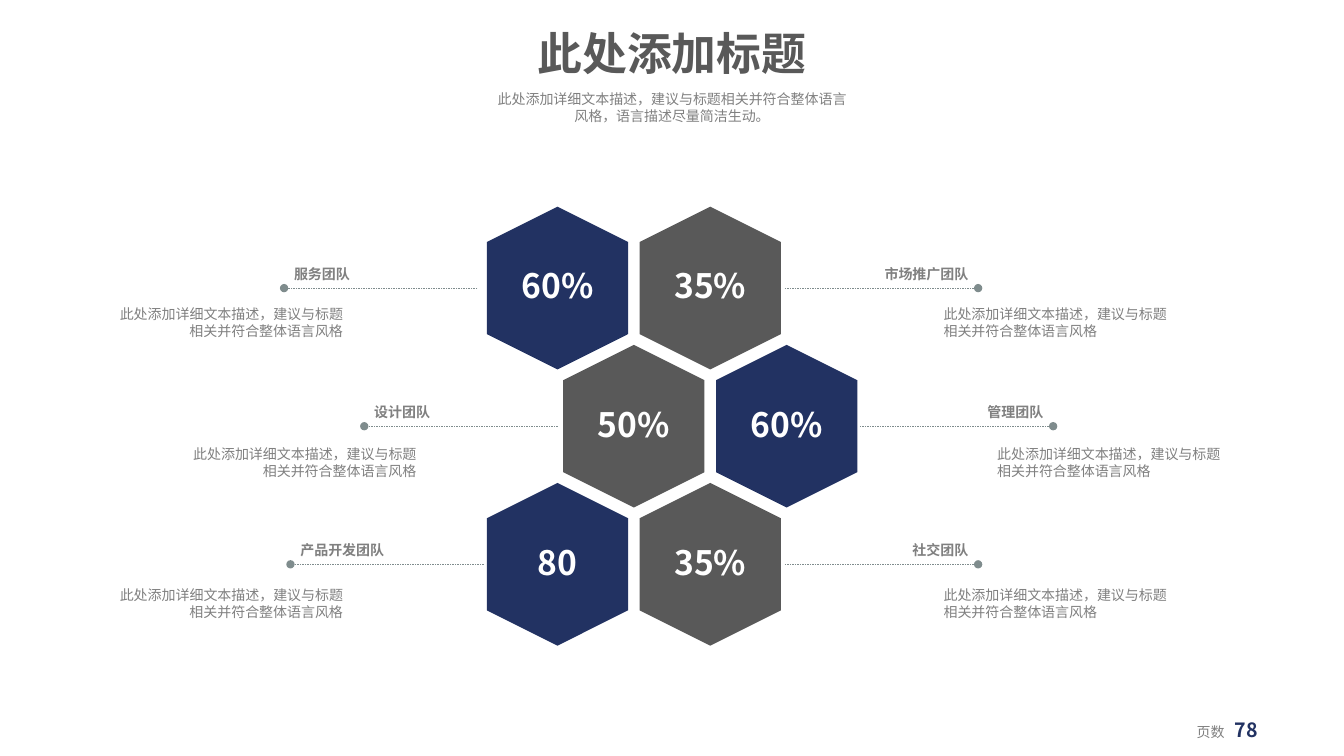
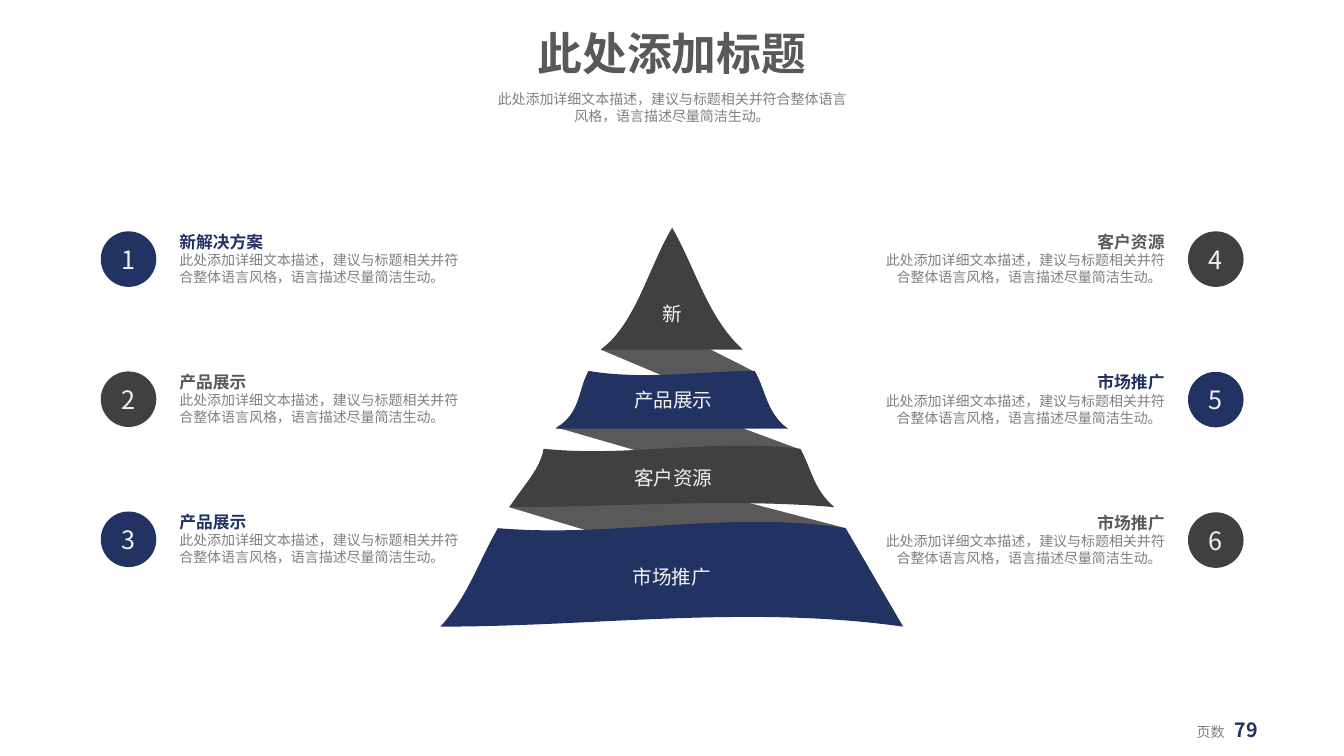
from dataclasses import dataclass

from lxml import etree
from pptx import Presentation
from pptx import util as u
from pptx.dml.color import RGBColor
from pptx.enum import dml, shapes, text
from pptx.oxml import ns

FONT = "Noto Sans CJK SC"
NAVY = RGBColor(0x22, 0x32, 0x62)
SLATE = RGBColor(0x59, 0x59, 0x59)
CHARCOAL = RGBColor(0x40, 0x40, 0x40)
GREY = RGBColor(0x80, 0x80, 0x80)
LINE = RGBColor(0x7F, 0x8C, 0x8D)
PALE = RGBColor(0xF2, 0xF2, 0xF2)
WHITE = RGBColor(0xFF, 0xFF, 0xFF)

LEFT, CENTER, RIGHT = text.PP_ALIGN.LEFT, text.PP_ALIGN.CENTER, text.PP_ALIGN.RIGHT
WIDTH, HEIGHT = 33.87, 19.05
MIDDLE = WIDTH / 2

TITLE = "此处添加标题"
NOTE = "此处添加详细文本描述，建议与标题相关并符合整体语言风格"
LONG_NOTE = NOTE + "，语言描述尽量简洁生动。"

Outline = list[tuple[float, ...]]  # start, then lines (2 numbers) or curves (6)


@dataclass
class Hexagon:
    label: str
    row: int
    col: int
    color: RGBColor


@dataclass
class Team:
    name: str
    row: int
    on_left: bool
    inner: float  # end of the leader next to the hexagon
    note_left: float


@dataclass
class Callout:
    number: int
    heading: str
    color: RGBColor
    heading_color: RGBColor


@dataclass
class Piece:
    color: RGBColor
    outline: Outline


@dataclass
class BandLabel:
    name: str
    center: float
    top: float


HEXAGONS = [
    Hexagon("35%", 0, 1, SLATE), Hexagon("60%", 0, 0, NAVY),
    Hexagon("50%", 1, 0, SLATE), Hexagon("60%", 1, 1, NAVY),
    Hexagon("35%", 2, 1, SLATE), Hexagon("80", 2, 0, NAVY),
]
TEAMS = [
    Team("市场推广团队", 0, False, 19.78, 23.53),
    Team("管理团队", 1, False, 21.67, 24.88),
    Team("社交团队", 2, False, 19.78, 23.53),
    Team("服务团队", 0, True, 12.03, 2.44),
    Team("设计团队", 1, True, 14.05, 4.29),
    Team("产品开发团队", 2, True, 12.19, 2.44),
]
CALLOUTS = [
    Callout(1, "新解决方案", NAVY, NAVY),
    Callout(2, "产品展示", CHARCOAL, SLATE),
    Callout(3, "产品展示", NAVY, NAVY),
    Callout(4, "客户资源", CHARCOAL, SLATE),
    Callout(5, "市场推广", NAVY, NAVY),
    Callout(6, "市场推广", CHARCOAL, SLATE),
]
# Each fold lies behind the band that follows it
PYRAMID = [
    Piece(SLATE, [(19.79, 10.77), (15.14, 8.81),
                  (15.54, 8.53, 15.77, 8.26, 15.95, 7.82), (19.02, 9.37),
                  (19.3, 9.83, 19.28, 10.34, 19.79, 10.77)]),
    Piece(CHARCOAL, [(16.94, 5.74), (17.53, 6.76, 17.83, 8, 18.72, 8.81),
                     (15.14, 8.81), (16.03, 8.15, 16.33, 6.76, 16.94, 5.74)]),
    Piece(SLATE, [(20.98, 12.78), (14.02, 10.77),
                  (14.66, 10.44, 14.58, 9.83, 14.83, 9.35), (20.17, 11.33),
                  (20.45, 11.81, 20.5, 12.42, 20.98, 12.78)]),
    Piece(NAVY, [(14.84, 9.35), (16.26, 9.58, 17.63, 9.35, 19.02, 9.35),
                 (19.3, 9.83, 19.33, 10.44, 19.86, 10.8), (14, 10.8),
                 (14.66, 10.39, 14.55, 9.83, 14.84, 9.35)]),
    Piece(SLATE, [(22.73, 15.75), (12.83, 12.78),
                  (13.18, 12.29, 13.67, 11.94, 13.74, 11.33), (21.31, 13.31),
                  (22.73, 15.75)]),
    Piece(CHARCOAL, [(13.7, 11.31), (15.82, 11.53, 17.88, 11.05, 20.17, 11.31),
                     (20.45, 11.81, 20.5, 12.34, 21.03, 12.78),
                     (18.31, 12.55, 15.57, 12.78, 12.85, 12.78),
                     (13.13, 12.29, 13.61, 11.86, 13.7, 11.31)]),
    Piece(NAVY, [(12.55, 13.31), (15.47, 13.56, 18.34, 12.85, 21.31, 13.31),
                 (22.76, 15.79), (18.82, 15.24, 14.99, 15.79, 11.1, 15.79),
                 (11.81, 15.01, 12.07, 14.12, 12.55, 13.31)]),
]
BAND_LABELS = [
    BandLabel("市场推广", 16.93, 14.12), BandLabel("客户资源", 16.97, 11.61),
    BandLabel("产品展示", 16.97, 9.64), BandLabel("新", 16.94, 7.49),
]


# Text and shape helpers
def write(p, content: str, *, size: float, color: RGBColor,
          bold: bool = False, align=LEFT) -> None:
    p.alignment = align
    r = p.add_run()
    r.text = content
    r.font.size, r.font.bold, r.font.name = u.Pt(size), bold, FONT
    r.font.color.rgb = color
    etree.SubElement(r.font._element, ns.qn("a:ea"), typeface=FONT)


def text_box(s, left: float, top: float, width: float, height: float, wrap: bool = True):
    tf = s.shapes.add_textbox(u.Cm(left), u.Cm(top), u.Cm(width), u.Cm(height)).text_frame
    tf.word_wrap = wrap
    return tf


def snug_width(content: str, size: float) -> float:
    """Width of a one-line box of full-width characters, with its insets."""
    return len(content) * u.Pt(size).cm + 0.52


def paint(sp, color: RGBColor) -> None:
    sp.shadow.inherit = False
    sp.fill.solid()
    sp.fill.fore_color.rgb = color
    sp.line.fill.background()


def label(sp, content: str, **style):
    tf = sp.text_frame
    tf.word_wrap = False
    tf.vertical_anchor = text.MSO_ANCHOR.MIDDLE
    p = tf.paragraphs[0]
    write(p, content, align=CENTER, **style)
    return p


def sample(outline: Outline, steps: int = 40) -> Outline:
    points = [outline[0]]
    for segment in outline[1:]:
        if len(segment) == 6:
            (x0, y0), (x1, y1, x2, y2, x3, y3) = points[-1], segment
            for i in range(1, steps):
                t = i / steps
                a, b, c, d = (1 - t) ** 3, 3 * t * (1 - t) ** 2, 3 * t * t * (1 - t), t ** 3
                points.append((a * x0 + b * x1 + c * x2 + d * x3,
                               a * y0 + b * y1 + c * y2 + d * y3))
        points.append(segment[-2:])
    return points


def freeform(s, outline: Outline, color: RGBColor):
    # The builder sets the bounds; the path is then redrawn with true curves
    xs, ys = zip(*sample(outline))
    builder = s.shapes.build_freeform(u.Cm(min(xs)), u.Cm(min(ys)))
    builder.add_line_segments([(u.Cm(max(xs)), u.Cm(max(ys)))], close=True)
    sp = builder.convert_to_shape()
    geometry = next(sp.element.iter(ns.qn("a:path")))
    for child in list(geometry):
        geometry.remove(child)
    for i, segment in enumerate(outline):
        tag = "a:moveTo" if i == 0 else "a:lnTo" if len(segment) == 2 else "a:cubicBezTo"
        step = etree.SubElement(geometry, ns.qn(tag))
        for x, y in zip(segment[::2], segment[1::2]):
            etree.SubElement(step, ns.qn("a:pt"), x=str(u.Cm(x) - sp.left),
                             y=str(u.Cm(y) - sp.top))
    etree.SubElement(geometry, ns.qn("a:close"))
    paint(sp, color)
    return sp


def leader(s, start: float, end: float, y: float) -> None:
    c = s.shapes.add_connector(shapes.MSO_CONNECTOR.STRAIGHT,
                               u.Cm(start), u.Cm(y), u.Cm(end), u.Cm(y))
    c.line.color.rgb = LINE
    c.line.width = u.Pt(0.25)
    c.line.dash_style = dml.MSO_LINE.DASH
    props = c.element.spPr
    etree.SubElement(props.find(ns.qn("a:ln")), ns.qn("a:tailEnd"), type="oval")
    etree.SubElement(props, ns.qn("a:effectLst"))


# Title, subtitle and page number
def new_slide(prs, page: int):
    s = prs.slides.add_slide(prs.slide_layouts[6])
    width = snug_width(TITLE, 32)
    tf = text_box(s, MIDDLE - width / 2, 0.53, width, 1.62, wrap=False)
    write(tf.paragraphs[0], TITLE, size=32, color=SLATE, bold=True, align=CENTER)
    tf = text_box(s, MIDDLE - 4.75, 2.16, 9.5, 1.12)
    write(tf.paragraphs[0], LONG_NOTE, size=10, color=GREY, align=CENTER)
    p = text_box(s, 29.03, 17.97, 3.23, 0.86).paragraphs[0]
    tabs = etree.SubElement(p._p.get_or_add_pPr(), ns.qn("a:tabLst"))
    for stop in (0.88, 1.83):
        etree.SubElement(tabs, ns.qn("a:tab"), pos=str(u.Cm(stop)), algn="l")
    write(p, "\t页数\t", size=10, color=GREY)
    write(p, str(page), size=14, color=NAVY, bold=True)
    return s


# Honeycomb slide
def draw_hexagon(s, h: Hexagon) -> None:
    pitch, width, height, shoulder = 3.85, 3.56, 4.1, 0.89
    x = 12.27 + pitch * (h.col + h.row % 2 / 2)
    y = 5.21 + 3.48 * h.row
    top, low = (x + width / 2, y), y + height - shoulder
    outline = [top, (x + width, y + shoulder), (x + width, low),
               (x + width / 2, y + height), (x, low), (x, y + shoulder), top]
    p = label(freeform(s, outline, h.color), h.label, size=24, color=WHITE, bold=True)
    p.line_spacing = 0.9


def draw_team(s, t: Team) -> None:
    length, name_width = 4.87, snug_width(t.name, 10)
    y = 7.26 + 3.48 * t.row
    outer = t.inner - length if t.on_left else t.inner + length
    leader(s, t.inner, outer, y)
    tf = text_box(s, outer if t.on_left else outer - name_width, y - 0.69,
                  name_width, 0.68, wrap=False)
    write(tf.paragraphs[0], t.name, size=10, color=GREY, bold=True,
          align=LEFT if t.on_left else RIGHT)
    tf = text_box(s, t.note_left, 7.57 + 3.54 * t.row, 6.45, 1.12)
    write(tf.paragraphs[0], NOTE, size=10, color=GREY,
          align=RIGHT if t.on_left else LEFT)


def honeycomb_slide(prs) -> None:
    s = new_slide(prs, 78)
    for h in HEXAGONS:
        draw_hexagon(s, h)
    for t in TEAMS:
        draw_team(s, t)


# Pyramid slide
def draw_callout(s, c: Callout) -> None:
    side, row = divmod(c.number - 1, 3)
    circle_left, text_left, align, note = [
        (2.54, 4.27, LEFT, LONG_NOTE), (29.94, 22.03, RIGHT, LONG_NOTE + " ")][side]
    y = 5.83 + (3.53, 3.54)[side] * row
    sp = s.shapes.add_shape(shapes.MSO_SHAPE.OVAL, u.Cm(circle_left), u.Cm(y),
                            u.Cm(1.4), u.Cm(1.4))
    paint(sp, c.color)
    label(sp, str(c.number), size=18, color=PALE)
    tf = text_box(s, text_left, y - 0.12, 7.57, 1.62)
    write(tf.paragraphs[0], c.heading, size=12, color=c.heading_color, bold=True, align=align)
    write(tf.add_paragraph(), note, size=10, color=GREY, align=align)


def pyramid_slide(prs) -> None:
    s = new_slide(prs, 79)
    for piece in PYRAMID:
        freeform(s, piece.outline, piece.color)
    for b in BAND_LABELS:
        width = snug_width(b.name, 14)
        tf = text_box(s, b.center - width / 2, b.top, width, 0.86, wrap=False)
        write(tf.paragraphs[0], b.name, size=14, color=PALE, align=CENTER)
    for c in CALLOUTS:
        draw_callout(s, c)


def main() -> None:
    prs = Presentation()
    prs.slide_width, prs.slide_height = u.Cm(WIDTH), u.Cm(HEIGHT)
    honeycomb_slide(prs)
    pyramid_slide(prs)
    prs.save("out.pptx")


if __name__ == "__main__":
    main()
